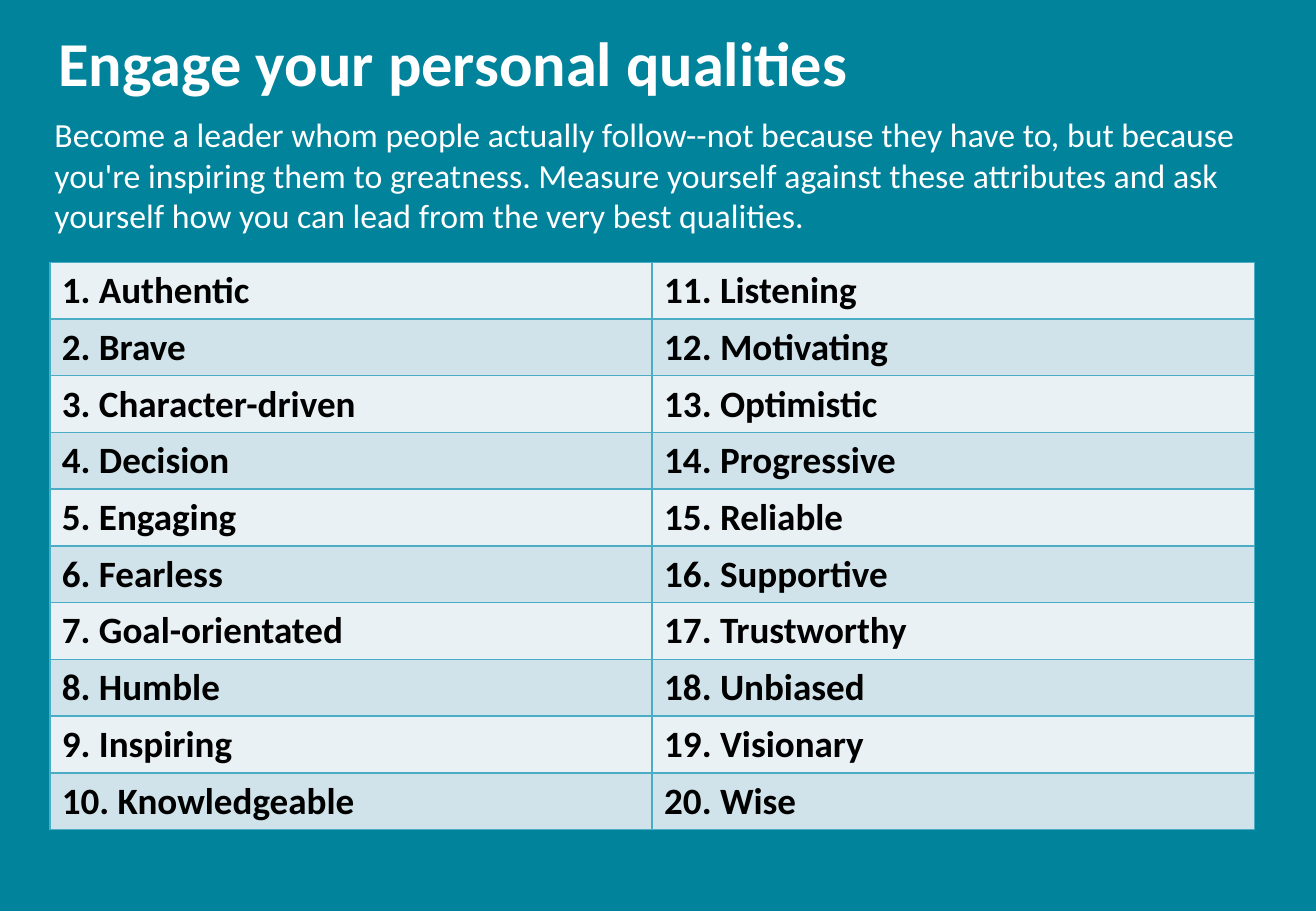
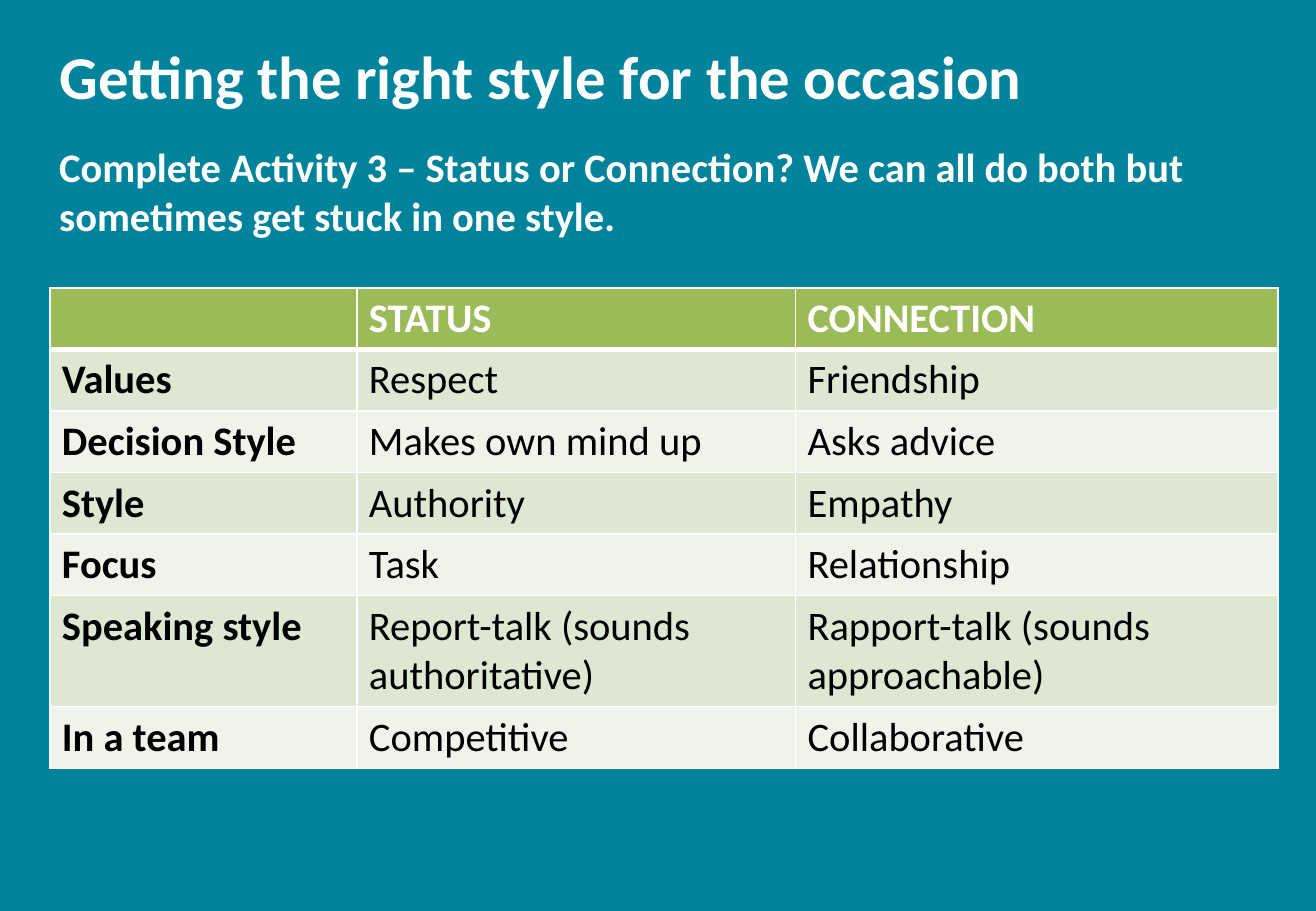
from lxml import etree
from pptx import Presentation, util as u
from pptx.dml.color import RGBColor
from pptx.enum import text
from pptx.oxml.ns import qn

TEAL, WHITE, BLACK = "00839B", "FFFFFF", "000000"
AQUA, GREEN = "4BACC6", "9BBB59"
AQUA_BANDS = ("E9F1F5", "D0E3EA")
GREEN_BANDS = ("DEE7D1", "EFF3EA")


def rgb(code):
    return RGBColor.from_string(code)


class Deck:
    """Shared style and the current slide; all lengths are in points."""

    font = "Calibri"

    def __init__(self, width, height):
        self.prs = Presentation()
        self.prs.slide_width, self.prs.slide_height = u.Pt(width), u.Pt(height)
        self.s = None

    def style(self, tf, size, color, bold):
        for p in tf.paragraphs:
            p.alignment = text.PP_ALIGN.LEFT
            for r in p.runs:
                f = r.font
                f.name, f.size, f.bold = self.font, u.Pt(size), bold
                f.color.rgb = rgb(color)

    def slide(self, title, box, size, anchor):
        self.s = self.prs.slides.add_slide(self.prs.slide_layouts[5])
        fill = self.s.background.fill
        fill.solid()
        fill.fore_color.rgb = rgb(TEAL)
        sp = self.s.shapes.title
        sp.left, sp.top, sp.width, sp.height = map(u.Pt, box)
        tf = sp.text_frame
        tf.text = title
        tf.auto_size = text.MSO_AUTO_SIZE.NONE
        tf.margin_top = tf.margin_bottom = 0
        tf.vertical_anchor = anchor
        self.style(tf, size, WHITE, True)

    def body(self, words, box, size, bold=False):
        tf = self.s.shapes.add_textbox(*map(u.Pt, box)).text_frame
        tf.word_wrap = True
        tf.text = words
        self.style(tf, size, WHITE, bold)

    def border(self, cell, color, top=1, bottom=1):
        widths = {"L": 1, "R": 1, "T": top, "B": bottom}
        for side, width in widths.items():
            ln = etree.SubElement(cell._tc.get_or_add_tcPr(), qn("a:ln" + side),
                                  w=str(u.Pt(width)))
            fill = etree.SubElement(ln, qn("a:solidFill"))
            etree.SubElement(fill, qn("a:srgbClr"), val=color)

    def table(self, rows, left, top, widths, heights, size, bands, line,
              bold_cols, header=None):
        tbl = self.s.shapes.add_table(
            len(rows), len(widths), u.Pt(left), u.Pt(top),
            u.Pt(sum(widths)), u.Pt(sum(heights))).table
        tbl.first_row = header is not None
        tbl.horz_banding = False
        for col, width in zip(tbl.columns, widths):
            col.width = u.Pt(width)
        for i, (row, height) in enumerate(zip(rows, heights)):
            tbl.rows[i].height = u.Pt(height)
            is_head = header is not None and i == 0
            below_head = header is not None and i == 1
            band = i if header is None else i - 1
            for j, words in enumerate(row):
                cell = tbl.cell(i, j)
                cell.text = words
                self.style(cell.text_frame, size, WHITE if is_head else BLACK,
                           is_head or j in bold_cols)
                self.border(cell, line, top=3 if below_head else 1,
                            bottom=3 if is_head else 1)
                cell.fill.solid()
                cell.fill.fore_color.rgb = rgb(
                    header if is_head else bands[band % 2])


def qualities(deck):
    deck.slide("Engage your personal qualities", (27.4, 9.4, 620, 54.7), 37,
               text.MSO_ANCHOR.MIDDLE)
    deck.body("Become a leader whom people actually follow--not because they "
              "have to, but because you're inspiring them to greatness. "
              "Measure yourself against these attributes and ask yourself how "
              "you can lead from the very best qualities.",
              (25.2, 64.1, 741, 181.4), 20)
    # Two numbered columns, filled downwards
    names = ["Authentic", "Brave", "Character-driven", "Decision", "Engaging",
             "Fearless", "Goal-orientated", "Humble", "Inspiring",
             "Knowledgeable", "Listening", "Motivating", "Optimistic",
             "Progressive", "Reliable", "Supportive", "Trustworthy",
             "Unbiased", "Visionary", "Wise"]
    items = [f"{n}. {name}" for n, name in enumerate(names, 1)]
    half = len(items) // 2
    deck.table(list(zip(items[:half], items[half:])), 29.5, 155.5,
               [357, 357], [33.6] * half, 22, AQUA_BANDS, AQUA, (0, 1))


def styles(deck):
    deck.slide("Getting the right style for the occasion",
               (28, 23, 702, 90), 36, text.MSO_ANCHOR.TOP)
    # Comparison of the two styles
    rows = [("", "STATUS", "CONNECTION"),
            ("Values", "Respect", "Friendship"),
            ("Decision Style", "Makes own mind up", "Asks advice"),
            ("Style", "Authority", "Empathy"),
            ("Focus", "Task", "Relationship"),
            ("Speaking style", "Report-talk (sounds authoritative)",
             "Rapport-talk (sounds approachable)"),
            ("In a team", "Competitive", "Collaborative")]
    heights = [36.4] * 5 + [65.6, 36.4]
    deck.table(rows, 29.5, 170.6, [182, 260, 286], heights, 24, GREEN_BANDS,
               WHITE, (0,), header=GREEN)
    deck.body("Complete Activity 3 – Status or Connection? We can all do both "
              "but sometimes get stuck in one style.",
              (28, 80.6, 728, 65.5), 24, bold=True)


def main():
    deck = Deck(780, 540)
    qualities(deck)
    styles(deck)
    deck.prs.save("out.pptx")


if __name__ == "__main__":
    main()
